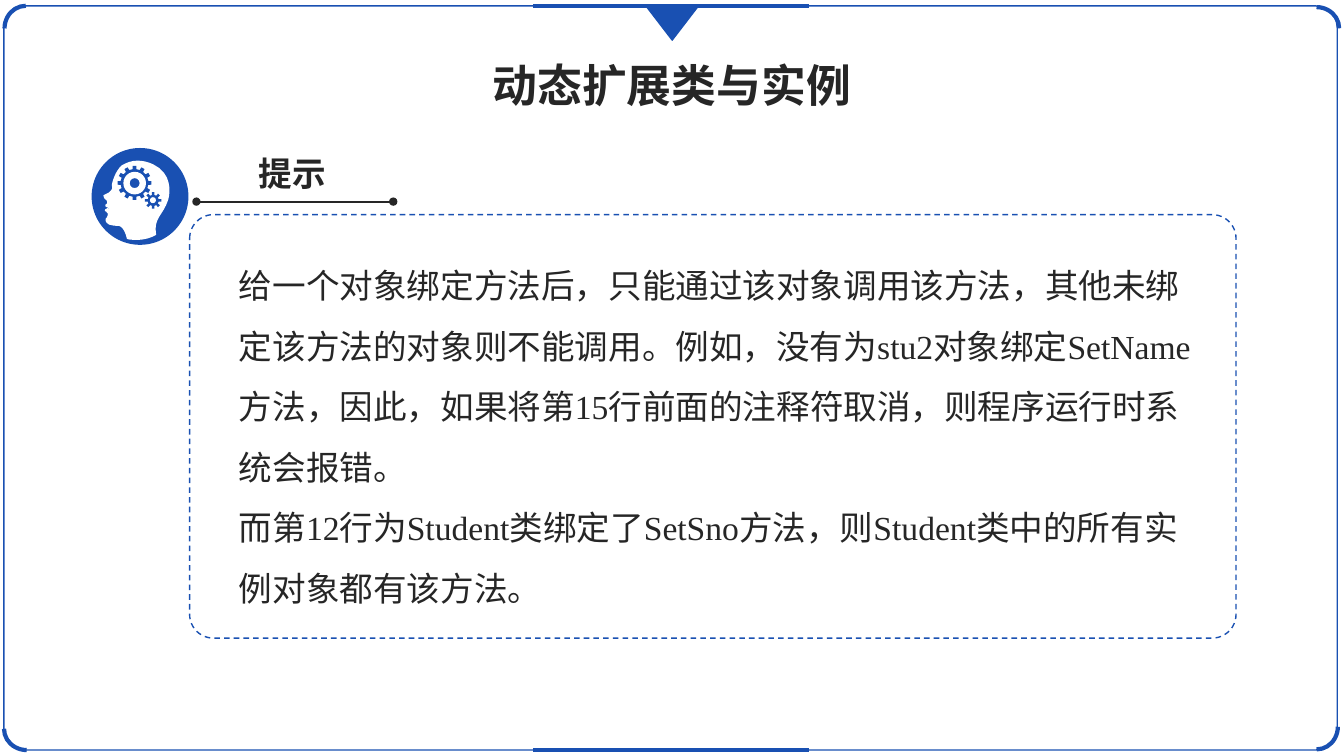
from dataclasses import dataclass
from math import cos, pi, sin

from lxml.etree import SubElement
from pptx import Presentation
from pptx.dml.color import RGBColor
from pptx.enum.dml import MSO_LINE
from pptx.enum.shapes import MSO_CONNECTOR, MSO_SHAPE
from pptx.enum.text import MSO_AUTO_SIZE, PP_ALIGN
from pptx.oxml.ns import qn
from pptx.util import Cm, Pt

BLUE, DARK, WHITE = "1950B2", "262626", "FFFFFF"
FONT = "Times New Roman"
ICON_UNIT = 0.0254  # cm per unit of the head outline
CURVE_STEPS = 8


@dataclass
class Figure:
    kind: MSO_SHAPE
    frame: tuple[float, float, float, float]
    fill: str | None = None
    line: str | None = None
    width: float = 1
    rotation: float = 0
    adjust: float | None = None
    dash: MSO_LINE | None = None


@dataclass
class Label:
    frame: tuple[float, float, float, float]
    paragraphs: list[str]
    size: float
    bold: bool = False
    wrap: bool = False
    align: PP_ALIGN = PP_ALIGN.CENTER
    spacing: float = 1


@dataclass
class Rule:
    left: float
    right: float
    y: float
    color: str
    width: float
    dotted_ends: bool = False


@dataclass
class Gear:
    x: float
    y: float
    outer: float
    root: float
    teeth: int


FRAME = [
    Figure(MSO_SHAPE.ROUNDED_RECTANGLE, (0.1, 0.15, 33.6, 18.75), line=BLUE, adjust=0.029),
    *(
        Figure(MSO_SHAPE.ARC, (left, top, 1.14, 1.07), line=BLUE, width=3, rotation=turn)
        for left, top, turn in [
            (0.08, 0.18, 270), (0.1, 17.83, 180), (32.61, 0.18, 0), (32.61, 17.78, 90)
        ]
    ),
    Figure(MSO_SHAPE.ISOSCELES_TRIANGLE, (16.28, 0.15, 1.32, 0.86), BLUE, BLUE, rotation=180),
]
TIP_BOX = Figure(MSO_SHAPE.ROUNDED_RECTANGLE, (4.78, 5.41, 26.37, 10.67), line=BLUE,
                 adjust=0.056, dash=MSO_LINE.DASH)
ICON_DISC = Figure(MSO_SHAPE.OVAL, (2.31, 3.73, 2.44, 2.44), BLUE)
GEAR_CENTRES = [
    Figure(MSO_SHAPE.DONUT, (3.11, 4.33, 0.57, 0.57), WHITE, adjust=0.28),
    Figure(MSO_SHAPE.OVAL, (3.78, 4.97, 0.15, 0.15), WHITE),
]
GEARS = [Gear(3.39, 4.61, 0.43, 0.35, 12), Gear(3.86, 5.05, 0.21, 0.14, 8)]
RULES = [
    Rule(13.44, 20.4, 0.15, BLUE, 3),
    Rule(13.44, 20.4, 18.9, BLUE, 3),
    Rule(4.95, 9.91, 5.08, DARK, 1.5, dotted_ends=True),
]
LABELS = [
    Label((12.12, 1.32, 9.63, 1.63), ["动态扩展类与实例"], 32, bold=True),
    Label((6.25, 3.73, 2.24, 1.27), ["提示"], 24, bold=True),
    Label(
        (5.77, 6.05, 24.92, 9.5),
        [
            "给一个对象绑定方法后，只能通过该对象调用该方法，其他未绑定该方法的对象则不能调用。"
            "例如，没有为stu2对象绑定SetName方法，因此，如果将第15行前面的注释符取消，"
            "则程序运行时系统会报错。",
            "而第12行为Student类绑定了SetSno方法，则Student类中的所有实例对象都有该方法。",
        ],
        24, wrap=True, align=PP_ALIGN.LEFT, spacing=1.5,
    ),
]
HEAD_START = (152, 163)
# Each row: first control point, second control point, end point
HEAD_CURVES = [
    (141, 158, 131, 158, 121, 164), (114, 170, 111, 182, 111, 184),
    (111, 185, 113, 187, 108, 191), (103, 194, 102, 193, 103, 195),
    (103, 197, 105, 198, 106, 199), (106, 200, 107, 201, 106, 202),
    (105, 203, 104, 203, 105, 205), (106, 206, 108, 206, 109, 207),
    (109, 207, 106, 206, 106, 207), (105, 207, 104, 208, 104, 209),
    (105, 210, 106, 210, 106, 211), (107, 211, 107, 212, 107, 213),
    (107, 214, 106, 216, 105, 217), (104, 219, 106, 222, 109, 223),
    (113, 224, 114, 224, 117, 224), (122, 224, 125, 232, 126, 237),
    (128, 238, 134, 238, 136, 238), (143, 238, 150, 236, 155, 233),
    (152, 216, 162, 214, 167, 198), (169, 191, 171, 172, 152, 163),
]


def rgb(color: str) -> RGBColor:
    return RGBColor.from_string(color)


def paint(shape, fill: str | None, line: str | None = None, width: float = 1) -> None:
    shape.shadow.inherit = False
    if fill:
        shape.fill.solid()
        shape.fill.fore_color.rgb = rgb(fill)
    else:
        shape.fill.background()
    if line:
        shape.line.color.rgb = rgb(line)
        shape.line.width = Pt(width)
    else:
        shape.line.fill.background()


def draw_figure(page, figure: Figure) -> None:
    shape = page.shapes.add_shape(figure.kind, *map(Cm, figure.frame))
    paint(shape, figure.fill, figure.line, figure.width)
    shape.rotation = figure.rotation
    if figure.adjust is not None:
        shape.adjustments[0] = figure.adjust
    if figure.dash:
        shape.line.dash_style = figure.dash


def draw_rule(page, rule: Rule) -> None:
    connector = page.shapes.add_connector(
        MSO_CONNECTOR.STRAIGHT, Cm(rule.left), Cm(rule.y), Cm(rule.right), Cm(rule.y))
    connector.line.color.rgb = rgb(rule.color)
    connector.line.width = Pt(rule.width)
    if rule.dotted_ends:
        for end in ("a:headEnd", "a:tailEnd"):
            SubElement(connector.line._get_or_add_ln(), qn(end), type="oval")
    SubElement(connector._element.spPr, qn("a:effectLst"))


def draw_label(page, label: Label) -> None:
    box = page.shapes.add_textbox(*map(Cm, label.frame))
    frame = box.text_frame
    frame.word_wrap = label.wrap
    frame.auto_size = MSO_AUTO_SIZE.SHAPE_TO_FIT_TEXT
    font_format = {"name": FONT, "size": Pt(label.size), "bold": label.bold}
    for index, text in enumerate(label.paragraphs):
        para = frame.add_paragraph() if index else frame.paragraphs[0]
        para.alignment = label.align
        para.line_spacing = label.spacing
        span = para.add_run()
        span.text = text
        for name, value in font_format.items():
            setattr(span.font, name, value)
        span.font.color.rgb = rgb(DARK)


def draw_outline(page, points: list[tuple[float, float]], fill: str) -> None:
    corners = [(Cm(x), Cm(y)) for x, y in points]
    builder = page.shapes.build_freeform(*corners[0])
    builder.add_line_segments(corners[1:], close=True)
    paint(builder.convert_to_shape(), fill)


def head_points() -> list[tuple[float, float]]:
    """Sample the cubic curves of the head into points in cm."""
    points = [HEAD_START]
    for x1, y1, x2, y2, x3, y3 in HEAD_CURVES:
        x0, y0 = points[-1]
        for step in range(1, CURVE_STEPS + 1):
            t = step / CURVE_STEPS
            a, b, c, d = (1 - t) ** 3, 3 * t * (1 - t) ** 2, 3 * t * t * (1 - t), t ** 3
            points.append((a * x0 + b * x1 + c * x2 + d * x3, a * y0 + b * y1 + c * y2 + d * y3))
    return [(x * ICON_UNIT, y * ICON_UNIT) for x, y in points]


def gear_points(gear: Gear) -> list[tuple[float, float]]:
    pitch = 2 * pi / gear.teeth
    profile = [(-0.27, gear.root), (-0.2, gear.outer), (0.2, gear.outer), (0.27, gear.root)]
    return [
        (gear.x + radius * cos((tooth + shift) * pitch),
         gear.y + radius * sin((tooth + shift) * pitch))
        for tooth in range(gear.teeth)
        for shift, radius in profile
    ]


def main() -> None:
    deck = Presentation()
    deck.slide_width, deck.slide_height = Cm(33.87), Cm(19.05)
    page = deck.slides.add_slide(deck.slide_layouts[6])
    for figure in [*FRAME, TIP_BOX, ICON_DISC]:
        draw_figure(page, figure)
    draw_outline(page, head_points(), WHITE)
    for gear in GEARS:
        draw_outline(page, gear_points(gear), BLUE)
    for figure in GEAR_CENTRES:
        draw_figure(page, figure)
    for rule in RULES:
        draw_rule(page, rule)
    for label in LABELS:
        draw_label(page, label)
    deck.save("out.pptx")


if __name__ == "__main__":
    main()
